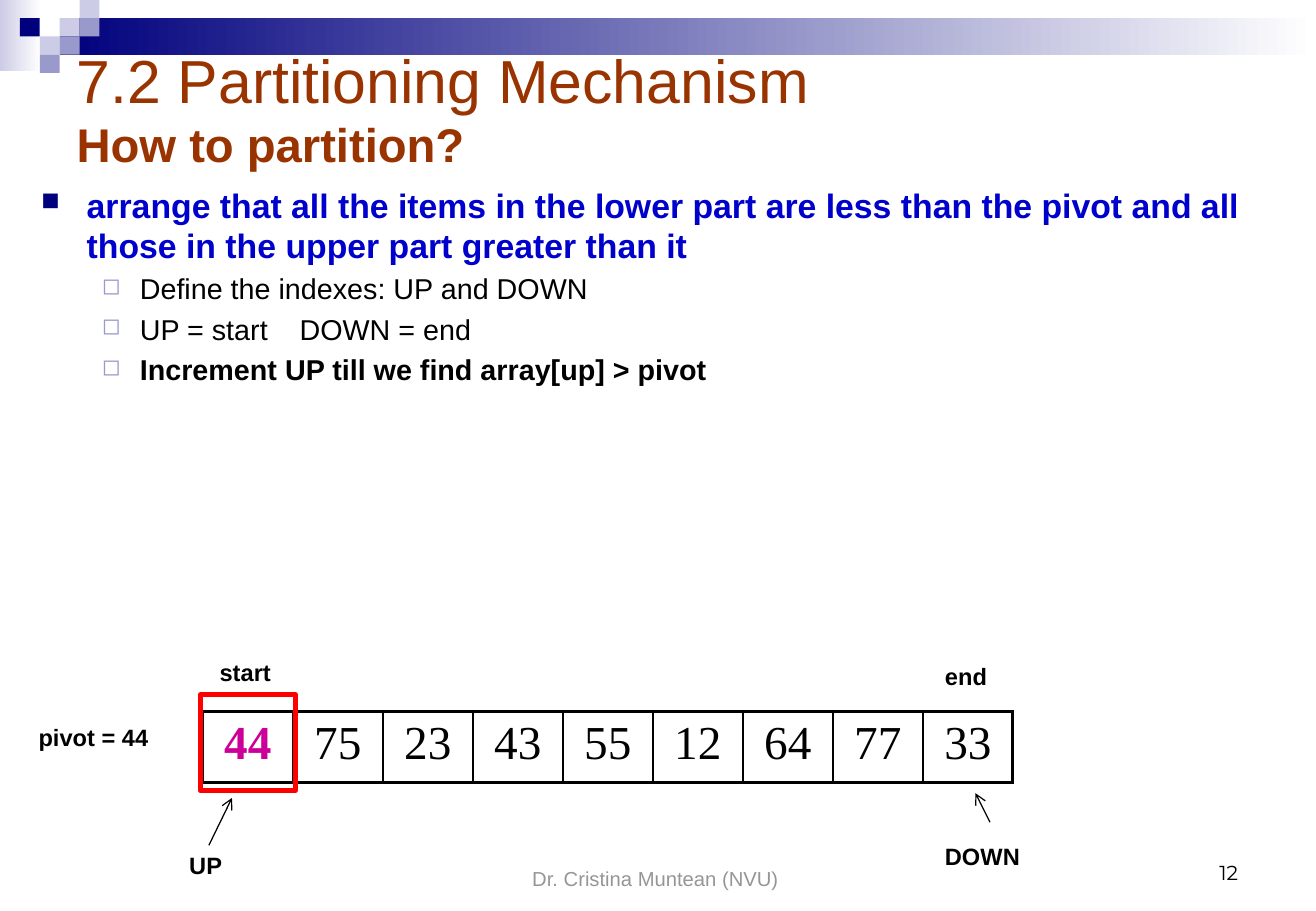
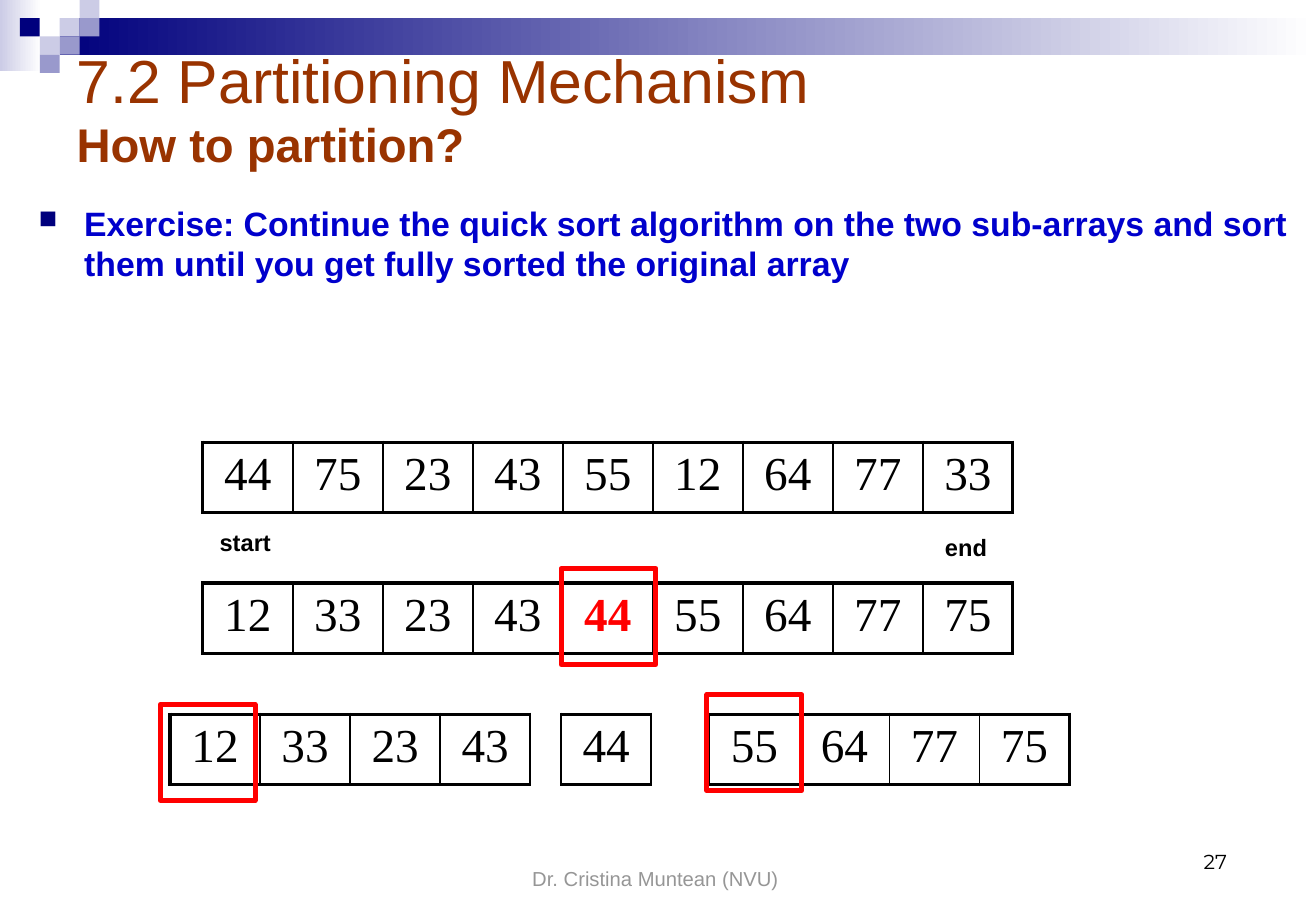
from lxml import etree
from pptx import Presentation
from pptx.dml.color import RGBColor
from pptx.enum import shapes, text
from pptx.oxml.ns import qn
from pptx.util import Pt

COLORS = {
    "navy": "00007D", "mid": "9999CC", "pale": "CCCCE6", "white": "FFFFFF",
    "title": "993300", "blue": "0000CC", "black": "000000", "gray": "969696",
    "red": "FF0000", "magenta": "CC0099",
}
CELL_WIDTH, CELL_HEIGHT = 53.35, 41.75
THICK, THIN = 2.25, 1
LEFT, CENTER, RIGHT = text.PP_ALIGN.LEFT, text.PP_ALIGN.CENTER, text.PP_ALIGN.RIGHT
TOP, MIDDLE, BOTTOM = text.MSO_ANCHOR.TOP, text.MSO_ANCHOR.MIDDLE, text.MSO_ANCHOR.BOTTOM
RECTANGLE = shapes.MSO_SHAPE.RECTANGLE


def add_run(paragraph, words, size, color="black", bold=False, font="Arial", spacing=0):
    """Append a formatted run; spacing is extra letter spacing in points."""
    run = paragraph.add_run()
    run.text = words
    run.font.size, run.font.bold, run.font.name = Pt(size), bold, font
    run.font.color.rgb = RGBColor.from_string(COLORS[color])
    if spacing:
        run.font._element.set("spc", str(spacing * 100))


def add_box(slide, left, top, width, height, anchor=TOP, align=LEFT):
    """Add a wrapping text box and return its text frame."""
    frame = slide.shapes.add_textbox(Pt(left), Pt(top), Pt(width), Pt(height)).text_frame
    frame.word_wrap = True
    frame.vertical_anchor = anchor
    frame.paragraphs[0].alignment = align
    return frame


# Content of each slide
SLIDES = [
    {
        "number": ("12", 558.7, 491.8),
        "body": (17.3, 105.8, 742.3, 141.8),
        "point": "arrange that all the items in the lower part are less than the pivot "
                 "and all those in the upper part greater than it",
        "subpoints": [
            ([("Define the indexes: UP and DOWN", 0)], False),
            ([("UP = start", 0), (" ", 14), ("DOWN = end", 0)], False),
            ([("Increment UP till we find array[up] > pivot", 0)], True),
        ],
        "arrays": [
            (120.2, 421.9, [44, 75, 23, 43, 55, 12, 64, 77, 33], THICK, THICK, {0: "magenta"}),
        ],
        "frames": [(118.8, 411.8)],
        "labels": [
            ("start", 123.1, 386.6, 50.4), ("end", 553, 388.8, 50.4),
            ("pivot = 44", 15.8, 424.8, 96.5),
            ("UP", 105.1, 501.1, 50.4), ("DOWN", 553, 495.4, 69.8),
        ],
        "arrows": [(123.8, 501.1, 137.5, 473), (586.8, 487.4, 578.2, 470.2)],
    },
    {
        "number": ("27", 552.2, 485.3),
        "body": (15.8, 116.6, 763.9, 124.6),
        "point": "Exercise: Continue the quick sort algorithm on the two sub-arrays "
                 "and sort them until you get fully sorted the original array",
        "subpoints": [],
        "arrays": [
            (120.2, 262.1, [44, 75, 23, 43, 55, 12, 64, 77, 33], THICK, THICK, {}),
            (120.2, 345.6, [12, 33, 23, 43, 44, 55, 64, 77, 75], THICK, THICK, {4: "red"}),
            (100.8, 423.4, [12, 33, 23, 43], THICK, THIN, {}),
            (332.6, 423.4, [44], THIN, THIN, {}),
            (420.5, 423.4, [55, 64, 77, 75], THIN, THICK, {}),
        ],
        "frames": [(332.6, 337), (95, 417.6), (419, 411.8)],
        "labels": [("start", 123.1, 309.6, 50.4), ("end", 553, 312.5, 50.4)],
        "arrows": [],
    },
]

presentation = Presentation()
presentation.slide_width, presentation.slide_height = Pt(780), Pt(540)
layout = presentation.slide_layouts[5]
title_style = presentation.slide_master.element.find(".//" + qn("p:titleStyle"))
title_style.find(".//" + qn("a:defRPr")).set("sz", "3600")
slides = [presentation.slides.add_slide(layout) for _ in SLIDES]

# Header band and mosaic, moved to the shared layout
COLUMN, ROW = 11.8, 10.8
mosaic = [(3, 1, "pale"), (4, 0, "pale"), (4, 1, "mid"), (2, 2, "pale"),
          (1, 1, "navy"), (3, 2, "mid"), (2, 3, "mid")]
header = [(0, 0, 24.5, 42, "pale", True), (35.4, ROW, 744.6, 21.6, "navy", True)]
header += [(column * COLUMN, row * ROW, COLUMN, ROW, color, False)
           for column, row, color in mosaic]
for index, (left, top, width, height, color, fades) in enumerate(header):
    shape = slides[0].shapes.add_shape(RECTANGLE, Pt(left), Pt(top), Pt(width), Pt(height))
    shape.shadow.inherit = False
    shape.line.fill.background()
    if fades:
        shape.fill.gradient()
        shape.fill.gradient_angle = 0
        for stop, name in zip(shape.fill.gradient_stops, (color, "white")):
            stop.color.rgb = RGBColor.from_string(COLORS[name])
    else:
        shape.fill.solid()
        shape.fill.fore_color.rgb = RGBColor.from_string(COLORS[color])
    shape.element.nvSpPr.cNvPr.set("id", str(20 + index))
    layout.shapes.element.append(shape.element)

for slide, content in zip(slides, SLIDES):
    # Title
    title = slide.shapes.title
    title.left, title.top, title.width, title.height = Pt(38.2), Pt(31.7), Pt(702), Pt(96.5)
    frame = title.text_frame
    frame.auto_size = text.MSO_AUTO_SIZE.NONE
    frame.vertical_anchor = MIDDLE
    frame.margin_bottom = Pt(36)
    paragraph = frame.paragraphs[0]
    paragraph.alignment = LEFT
    add_run(paragraph, "7.2 Partitioning Mechanism", 36, "title")
    paragraph.add_line_break()
    add_run(paragraph, "How to partition?", 28, "title", True)

    # Footer and slide number
    footer = add_box(slide, 265, 495.4, 247, 36, BOTTOM, CENTER)
    add_run(footer.paragraphs[0], "Dr. Cristina Muntean (NVU)", 12, "gray")
    number, left, top = content["number"]
    frame = add_box(slide, left, top, 182.2, 36, BOTTOM, RIGHT)
    add_run(frame.paragraphs[0], number, 12, font="Montserrat")

    # Bulleted text
    frame = add_box(slide, *content["body"])
    points = [([(content["point"], 0)], True, 0)]
    points += [(runs, bold, 1) for runs, bold in content["subpoints"]]
    for runs, bold, level in points:
        paragraph = frame.add_paragraph() if level else frame.paragraphs[0]
        size, color, margin, hanging, bullet, bullet_color, percent = (
            (17, "black", 58.5, 22.5, "\u25fb", "mid", 80) if level
            else (20, "blue", 27, 27, "\u25a0", "navy", 75))
        paragraph.level = level
        paragraph.space_before = Pt(size * 0.2)
        for words, spacing in runs:
            add_run(paragraph, words, size, color, bold, spacing=spacing)
        properties = paragraph._p.get_or_add_pPr()
        properties.set("marL", str(Pt(margin)))
        properties.set("indent", str(-Pt(hanging)))
        bullet_fill = etree.SubElement(properties, qn("a:buClr"))
        etree.SubElement(bullet_fill, qn("a:srgbClr"), val=COLORS[bullet_color])
        etree.SubElement(properties, qn("a:buSzPct"), val=str(percent * 1000))
        etree.SubElement(properties, qn("a:buChar"), char=bullet)

    # Arrays as one-row tables
    for left, top, values, left_edge, right_edge, accents in content["arrays"]:
        count = len(values)
        table = slide.shapes.add_table(1, count, Pt(left), Pt(top), Pt(CELL_WIDTH * count),
                                       Pt(CELL_HEIGHT)).table
        table.first_row = table.horz_banding = False
        for index, value in enumerate(values):
            table.columns[index].width = Pt(CELL_WIDTH)
            cell = table.cell(0, index)
            paragraph = cell.text_frame.paragraphs[0]
            paragraph.alignment = CENTER
            add_run(paragraph, str(value), 28, accents.get(index, "black"),
                    index in accents, "Times New Roman")
            borders = {
                "a:lnL": left_edge if index == 0 else THIN,
                "a:lnR": right_edge if index == count - 1 else THIN,
                "a:lnT": THICK, "a:lnB": THICK,
            }
            for tag, width in borders.items():
                border = etree.SubElement(cell._tc.get_or_add_tcPr(), qn(tag), w=str(Pt(width)))
                border_fill = etree.SubElement(border, qn("a:solidFill"))
                etree.SubElement(border_fill, qn("a:srgbClr"), val=COLORS["black"])
            cell.fill.background()

    # Pivot frames
    for left, top in content["frames"]:
        pivot = slide.shapes.add_shape(RECTANGLE, Pt(left), Pt(top), Pt(56.2), Pt(56.9))
        pivot.shadow.inherit = False
        pivot.fill.background()
        pivot.line.color.rgb = RGBColor.from_string(COLORS["red"])
        pivot.line.width = Pt(3)

    # Index labels and arrows
    for words, left, top, width in content["labels"]:
        frame = add_box(slide, left, top, width, 24.5)
        frame.auto_size = text.MSO_AUTO_SIZE.SHAPE_TO_FIT_TEXT
        add_run(frame.paragraphs[0], words, 14, bold=True)
    for ends in content["arrows"]:
        arrow = slide.shapes.add_connector(shapes.MSO_CONNECTOR.STRAIGHT, *map(Pt, ends))
        arrow.line.color.rgb = RGBColor.from_string(COLORS["black"])
        arrow.line.width = Pt(0.75)
        etree.SubElement(arrow.line._get_or_add_ln(), qn("a:tailEnd"), type="arrow")
        etree.SubElement(arrow.element.spPr, qn("a:effectLst"))

presentation.save("out.pptx")
